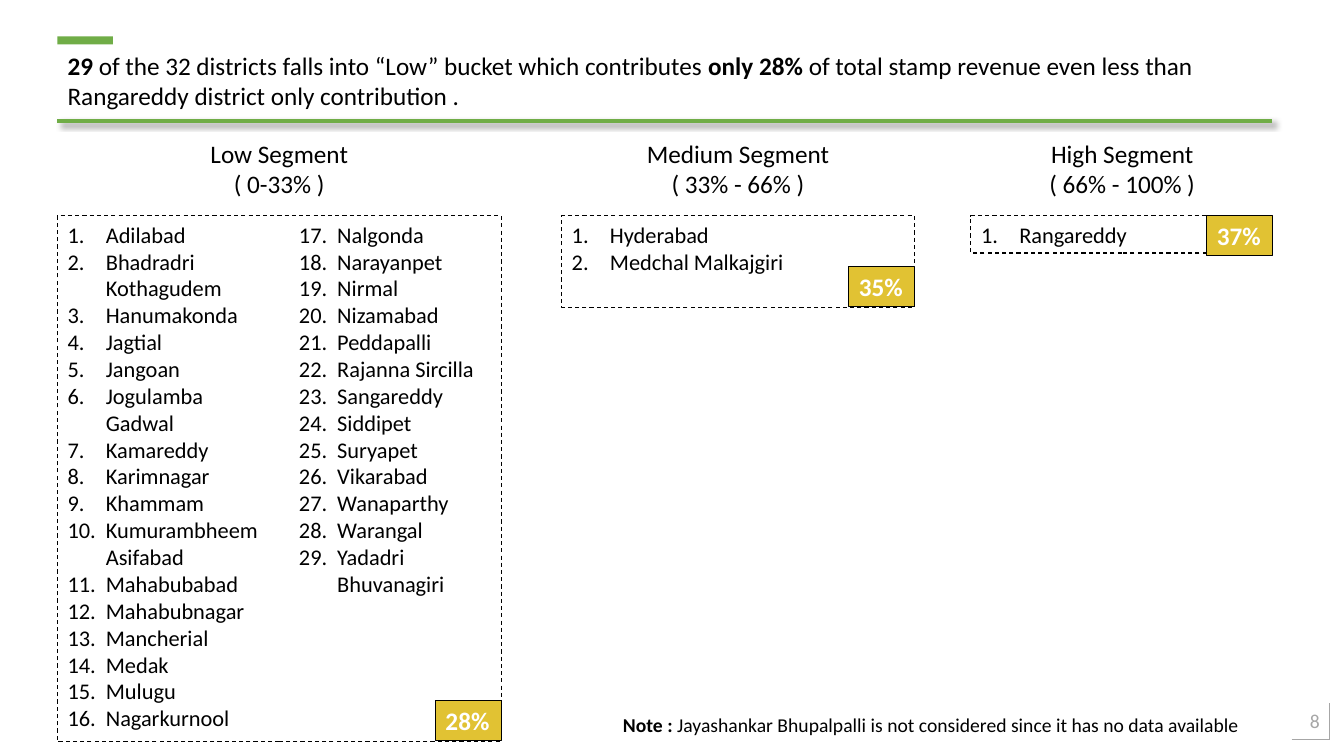
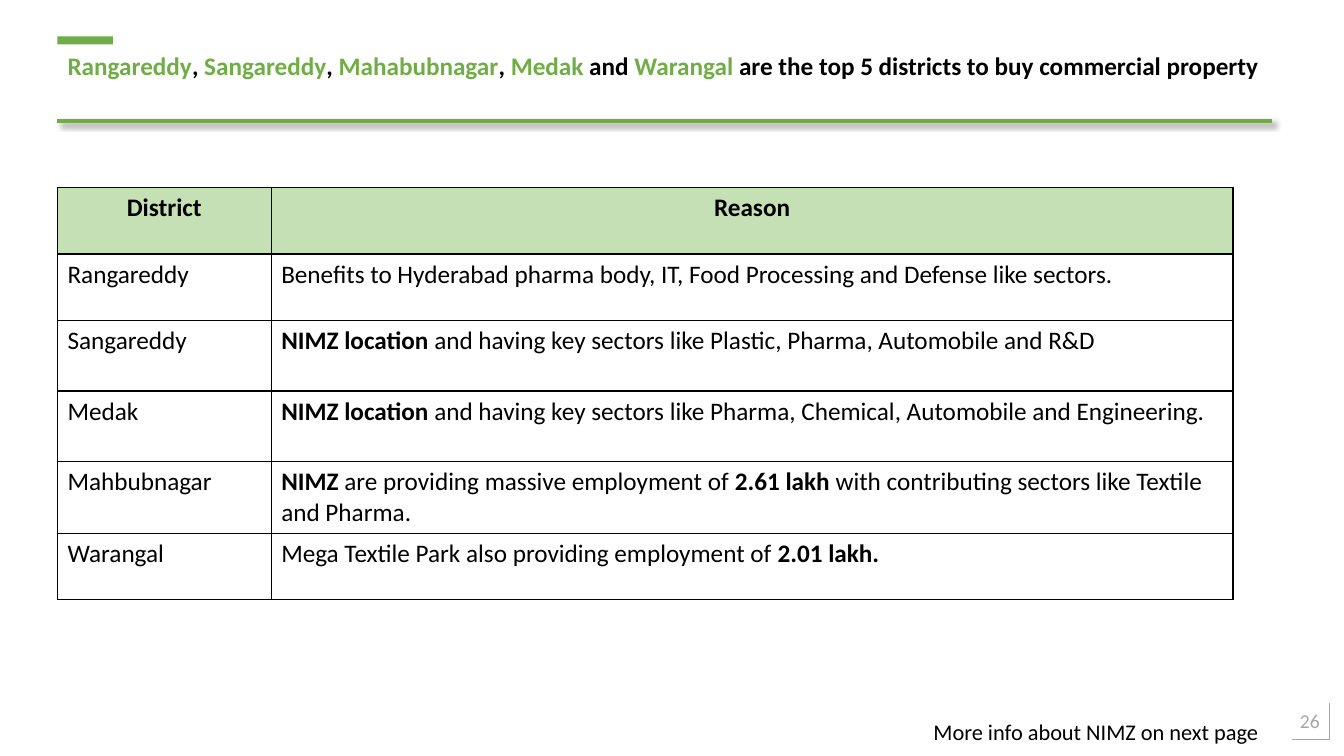
from pptx import Presentation
from pptx.dml.color import RGBColor
from pptx.enum.dml import MSO_LINE
from pptx.enum.shapes import MSO_CONNECTOR, MSO_SHAPE
from pptx.enum.text import MSO_ANCHOR, MSO_AUTO_SIZE, PP_ALIGN
from pptx.oxml import parse_xml
from pptx.oxml.ns import nsdecls
from pptx.util import Inches, Pt

HUES = {"black": "000000", "white": "FFFFFF", "green": "70AD47",
        "pale": "C5E0B4", "gold": "E1C233", "gray": "A6A6A6"}
FONT = "Calibri"
LEFT, RIGHT = 0.57, 12.62
TOP = 2.14
BADGE = (0.65, 0.4)
PLAIN = "<a:effectLst {ns}/>"
SHADOW = ('<a:effectLst {ns}><a:outerShdw blurRad="50800" dist="38100" '
          'dir="2700000" algn="tl" rotWithShape="0"><a:srgbClr val="000000">'
          '<a:alpha val="40000"/></a:srgbClr></a:outerShdw></a:effectLst>')


def node(text):
    return parse_xml(text.format(ns=nsdecls("a")))


def hue(name):
    return RGBColor.from_string(HUES[name])


class Deck:
    def __init__(self):
        self.show = Presentation()
        self.show.slide_width = Inches(13.33)
        self.show.slide_height = Inches(7.5)
        self.slide = None

    # Shared frame: accent, title, rule and page corner
    def start(self, layout, title, page):
        self.slide = self.show.slides.add_slide(self.show.slide_layouts[layout])
        head = self.slide.shapes.title
        self.place(head, LEFT, 0.45, 12.06, 0.71)
        self.set_text(head.text_frame, title)
        self.box(LEFT, 0.36, 0.55, 0.08, "green")
        self.rule(LEFT, 1.2, RIGHT, 1.2, "green", 2.25, SHADOW)
        self.rule(12.81, 7.34, 13.19, 7.34, "gray", 0.5)
        self.rule(13.18, 7.34, 13.18, 6.97, "gray", 0.5)
        self.label(12.63, 6.95, 0.56, 0.4, [(page, False, "gray")], 14,
                   PP_ALIGN.RIGHT, MSO_ANCHOR.MIDDLE)

    def place(self, shape, x, y, w, h):
        shape.left, shape.top = Inches(x), Inches(y)
        shape.width, shape.height = Inches(w), Inches(h)

    # A run is (text, bold, colour); the last two may be left out
    def add_runs(self, para, runs, size):
        for text, *look in runs:
            bold, tint = look + [False, "black"][len(look):]
            for i, line in enumerate(text.split("\n")):
                if i:
                    para.add_line_break()
                run = para.add_run()
                run.text = line
                font = run.font
                font.name, font.size, font.bold = FONT, Pt(size), bold
                font.color.rgb = hue(tint)

    def set_text(self, frame, runs, size=18, align=PP_ALIGN.LEFT,
                 anchor=MSO_ANCHOR.TOP):
        frame.word_wrap = True
        frame.auto_size = MSO_AUTO_SIZE.NONE
        frame.vertical_anchor = anchor
        para = frame.paragraphs[0]
        para.alignment = align
        self.add_runs(para, runs, size)

    def label(self, x, y, w, h, runs, size=18, align=PP_ALIGN.LEFT,
              anchor=MSO_ANCHOR.TOP):
        area = self.slide.shapes.add_textbox(
            Inches(x), Inches(y), Inches(w), Inches(h))
        self.set_text(area.text_frame, runs, size, align, anchor)

    def box(self, x, y, w, h, tint):
        shape = self.slide.shapes.add_shape(
            MSO_SHAPE.RECTANGLE, Inches(x), Inches(y), Inches(w), Inches(h))
        shape.shadow.inherit = False
        shape.fill.solid()
        shape.fill.fore_color.rgb = hue(tint)
        shape.line.fill.background()
        return shape

    def rule(self, x1, y1, x2, y2, tint, width, effect=PLAIN):
        link = self.slide.shapes.add_connector(
            MSO_CONNECTOR.STRAIGHT, Inches(x1), Inches(y1), Inches(x2), Inches(y2))
        link.line.color.rgb = hue(tint)
        link.line.width = Pt(width)
        link._element.spPr.append(node(effect))

    def badge(self, right, y, text):
        shape = self.box(right - BADGE[0], y, *BADGE, "gold")
        shape.line.color.rgb = hue("black")
        shape.line.width = Pt(0.75)
        self.set_text(shape.text_frame, [(text, True, "white")],
                      anchor=MSO_ANCHOR.MIDDLE)

    # Numbered list in a dashed body placeholder
    def names(self, slot, x, w, h, items, cols=1):
        body = self.slide.placeholders[slot]
        self.place(body, x, TOP, w, h)
        body.line.color.rgb = hue("black")
        body.line.width = Pt(0.75)
        body.line.dash_style = MSO_LINE.DASH
        frame = body.text_frame
        frame.word_wrap = True
        frame.auto_size = MSO_AUTO_SIZE.NONE
        frame.vertical_anchor = MSO_ANCHOR.TOP
        if cols > 1:
            props = frame._txBody.bodyPr
            props.set("numCol", str(cols))
            props.set("spcCol", str(Inches(0.39)))
        for i, item in enumerate(items):
            para = frame.add_paragraph() if i else frame.paragraphs[0]
            para.space_before = Pt(0)
            props = para._p.get_or_add_pPr()
            props.set("marL", str(Inches(0.38)))
            props.set("indent", str(-Inches(0.38)))
            props.append(node('<a:buFont {ns} typeface="+mj-lt"/>'))
            props.append(node('<a:buAutoNum {ns} type="arabicPeriod"/>'))
            self.add_runs(para, [(item,)], 16)

    def drop(self, slot):
        item = self.slide.placeholders[slot]._element
        item.getparent().remove(item)

    # Table with thin black borders and a pale head row
    def table(self, x, y, cols, rows, cells):
        grid = self.slide.shapes.add_table(
            len(rows), len(cols), Inches(x), Inches(y),
            Inches(sum(cols)), Inches(sum(rows))).table
        grid.first_row = grid.horz_banding = False
        for col, w in zip(grid.columns, cols):
            col.width = Inches(w)
        for row, h in zip(grid.rows, rows):
            row.height = Inches(h)
        for r, line in enumerate(cells):
            for c, runs in enumerate(line):
                cell = grid.cell(r, c)
                props = cell._tc.get_or_add_tcPr()
                for side in "LRTB":
                    props.append(node(
                        f'<a:ln{side} {{ns}} w="12700"><a:solidFill><a:srgbClr '
                        f'val="{HUES["black"]}"/></a:solidFill></a:ln{side}>'))
                cell.fill.solid()
                cell.fill.fore_color.rgb = hue("white" if r else "pale")
                para = cell.text_frame.paragraphs[0]
                para.alignment = PP_ALIGN.LEFT if r else PP_ALIGN.CENTER
                self.add_runs(para, runs, 18)


LOW = ["Adilabad", "Bhadradri Kothagudem", "Hanumakonda", "Jagtial", "Jangoan",
       "Jogulamba Gadwal", "Kamareddy", "Karimnagar", "Khammam",
       "Kumurambheem Asifabad", "Mahabubabad", "Mahabubnagar", "Mancherial",
       "Medak", "Mulugu", "Nagarkurnool", "Nalgonda", "Narayanpet", "Nirmal",
       "Nizamabad", "Peddapalli", "Rajanna Sircilla", "Sangareddy", "Siddipet",
       "Suryapet", "Vikarabad", "Wanaparthy", "Warangal", "Yadadri Bhuvanagiri"]

# Heading, its left and width; slot, left, width, height, names, columns; badge
GROUPS = [
    ("Low Segment\n( 0-33% )", 0.57, 4.4,
     (1, 0.57, 4.4, 5.22, LOW, 2), 6.95, "28%"),
    ("Medium Segment\n( 33% - 66% )", 6.08, 2.48,
     (2, 5.57, 3.5, 0.91, ["Hyderabad", "Medchal Malkajgiri"]), 2.64, "35%"),
    ("High Segment\n( 66% - 100% )", 9.89, 2.48,
     (3, 9.63, 2.99, 0.37, ["Rangareddy"]), TOP, "37%"),
]

REASONS = [
    [[("District", True)], [("Reason", True)]],
    [[("Rangareddy",)],
     [("Benefits to Hyderabad pharma body, IT, Food Processing and Defense "
       "like sectors.",)]],
    [[("Sangareddy",)],
     [("NIMZ location ", True),
      ("and having key sectors like Plastic, Pharma, Automobile and R&D",)]],
    [[("Medak",)],
     [("NIMZ location ", True),
      ("and having key sectors like Pharma, Chemical, Automobile and "
       "Engineering.",)]],
    [[("Mahbubnagar",)],
     [("NIMZ", True), (" are providing massive employment of ",),
      ("2.61 lakh ", True),
      ("with contributing sectors like Textile and Pharma.",)]],
    [[("Warangal",)],
     [("Mega Textile Park also providing employment of ",),
      ("2.01 lakh.", True)]],
]


def main():
    deck = Deck()

    # Segments
    deck.start(4, [
        ("29", True),
        (" of the 32 districts falls into “Low” bucket which contributes ",),
        ("only 28% ", True),
        ("of total stamp revenue even less than Rangareddy district only "
         "contribution .",)], "8")
    for head, x, w, group, y, share in GROUPS:
        deck.label(x, 1.32, w, 0.71, [(head,)], align=PP_ALIGN.CENTER)
        deck.names(*group)
        deck.badge(group[1] + group[2], y, share)
    deck.drop(4)
    deck.label(6.08, 7.02, 6.54, 0.34, [
        ("Note : ", True),
        ("Jayashankar Bhupalpalli is not considered since it has no data "
         "available",)], 14)

    # Top districts
    title = []
    for name, link in [("Rangareddy", ", "), ("Sangareddy", ", "),
                       ("Mahabubnagar", ", "), ("Medak", " and "),
                       ("Warangal", " are the top 5 districts to buy "
                                    "commercial property")]:
        title += [(name, True, "green"), (link, True)]
    deck.start(5, title, "26")
    deck.table(LEFT, 1.86, [2.12, 9.54], [0.66, 0.66, 0.7, 0.7, 0.7, 0.66],
               REASONS)
    deck.label(9.16, 7.08, 3.46, 0.37, [("More info about NIMZ on next page",)], 16)

    deck.show.save("out.pptx")


if __name__ == "__main__":
    main()
